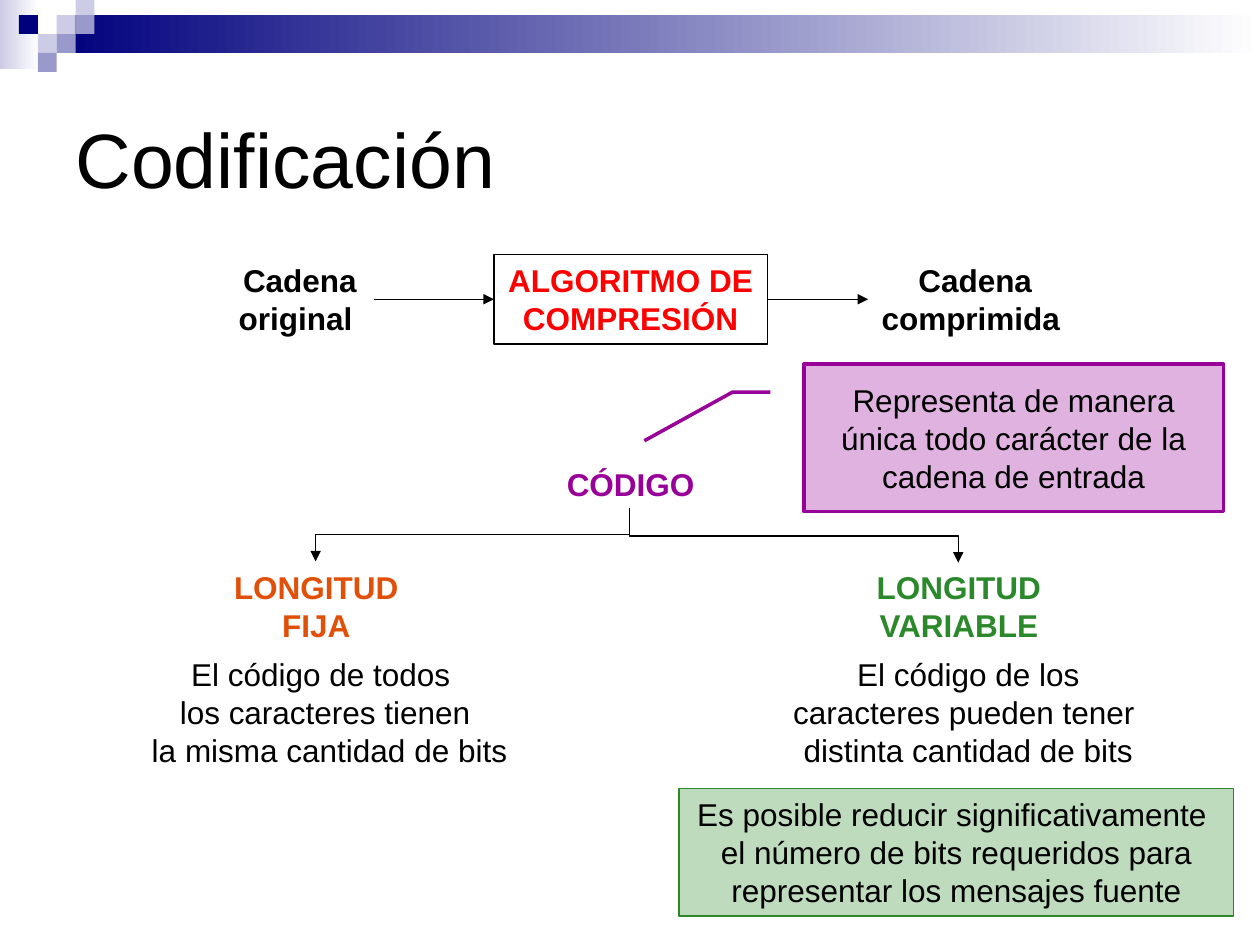
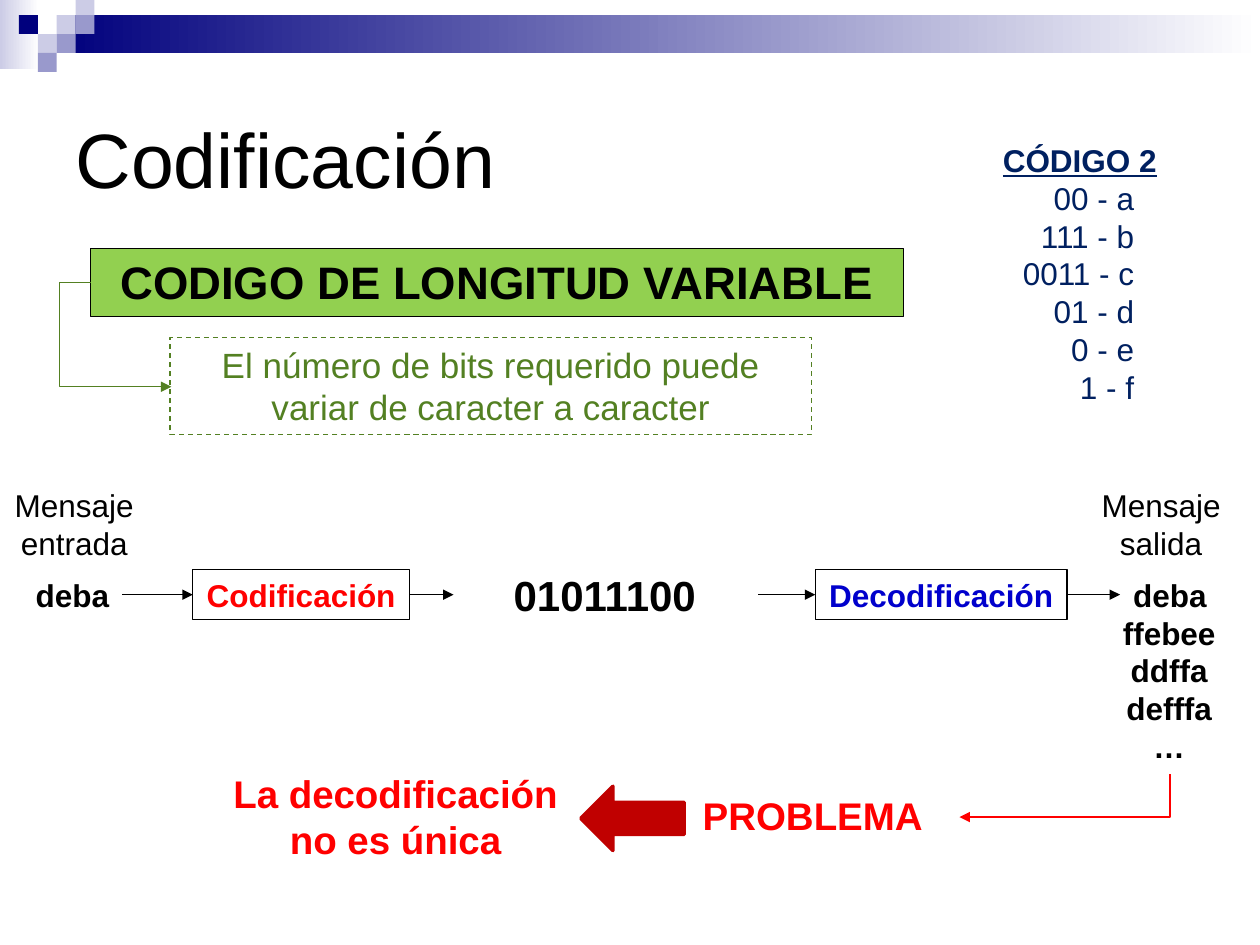
"""Build two slides on coding, with fixed and variable length codes."""
import dataclasses
import typing

import pptx
import pptx.dml.color
import pptx.enum.dml
import pptx.enum.shapes
import pptx.enum.text
import pptx.oxml
import pptx.oxml.ns
import pptx.util

Inches = pptx.util.Inches
Pt = pptx.util.Pt
RGBColor = pptx.dml.color.RGBColor
Kind = pptx.enum.shapes.MSO_SHAPE
Link = pptx.enum.shapes.MSO_CONNECTOR
Align = pptx.enum.text.PP_ALIGN
Anchor = pptx.enum.text.MSO_ANCHOR

BLACK = RGBColor(0x00, 0x00, 0x00)
WHITE = RGBColor(0xFF, 0xFF, 0xFF)
NAVY = RGBColor(0x00, 0x00, 0x7D)
PALE = RGBColor(0xCC, 0xCC, 0xE6)
LILAC = RGBColor(0x99, 0x99, 0xCC)
RED = RGBColor(0xFF, 0x00, 0x00)
DARK_RED = RGBColor(0xC0, 0x00, 0x00)
ORANGE = RGBColor(0xE0, 0x50, 0x08)
GREEN = RGBColor(0x2B, 0x89, 0x2B)
LIME = RGBColor(0x92, 0xD0, 0x50)
OLIVE = RGBColor(0x53, 0x80, 0x22)
PURPLE = RGBColor(0x99, 0x00, 0x99)
BLUE = RGBColor(0x00, 0x00, 0xCC)
INK = RGBColor(0x00, 0x20, 0x60)

FONT = "Arial"
LEADING = 1.2
CELL = 0.15
TOP = -0.03
BANDS = (((0, TOP, 0.31, 0.58), PALE), ((0.45, 0.12, 9.55, 0.3), NAVY))
TILES = ((3, 1, PALE), (4, 0, PALE), (4, 1, LILAC), (2, 2, PALE),
         (1, 1, NAVY), (3, 2, LILAC), (2, 3, LILAC))

Spot = tuple[float, float, float, float]


@dataclasses.dataclass(frozen=True)
class Box:
    """A text, framed when it has a fill or a line."""
    text: str
    at: Spot
    color: RGBColor = BLACK
    bold: bool = False
    size: int = 18
    fill: typing.Optional[RGBColor] = None
    alpha: int = 100
    line: typing.Optional[RGBColor] = None
    width: float = 0.75
    dash: bool = False
    kind: Kind = Kind.RECTANGLE
    wrap: bool = False
    align: Align = Align.CENTER
    anchor: Anchor = Anchor.TOP
    under: bool = False


@dataclasses.dataclass(frozen=True)
class Elbow:
    """A bent arrow, given by its frame before it is turned."""
    at: Spot
    turn: int = 0
    flip: bool = False
    bend: typing.Optional[float] = 0.5
    color: RGBColor = BLACK


def put(thing: typing.Any, **values: typing.Any) -> None:
    """Set each attribute of a thing from the given values."""
    for name, value in values.items():
        setattr(thing, name, value)


def place(at: Spot) -> list[int]:
    """Turn a spot into lengths."""
    return [Inches(part) for part in at]


def write(frame, text: str, size: int, color: RGBColor, align: Align,
          bold: bool = False, under: bool = False) -> None:
    """Fill a text frame with one paragraph for each line."""
    for index, line in enumerate(text.split("\n")):
        para = frame.paragraphs[0] if index == 0 else frame.add_paragraph()
        put(para, alignment=align, line_spacing=Pt(size * LEADING))
        run = para.add_run()
        run.text = line
        put(run.font, name=FONT, size=Pt(size), bold=bold, underline=under)
        run.font.color.rgb = color


def paint(shape, fill: typing.Optional[RGBColor], alpha: int = 100) -> None:
    """Give a shape a plain fill or none."""
    shape.shadow.inherit = False
    if fill is None:
        shape.fill.background()
        return
    shape.fill.solid()
    shape.fill.fore_color.rgb = fill
    if alpha < 100:
        tint = shape.fill._xPr.find(".//" + pptx.oxml.ns.qn("a:srgbClr"))
        tint.append(pptx.oxml.parse_xml(
            f'<a:alpha {pptx.oxml.ns.nsdecls("a")} val="{alpha * 1000}"/>'))


def draw(slide, box: Box):
    """Draw a box and return its shape."""
    if box.fill is None and box.line is None:
        shape = slide.shapes.add_textbox(*place(box.at))
    else:
        shape = slide.shapes.add_shape(box.kind, *place(box.at))
        paint(shape, box.fill, box.alpha)
        shape.line.color.rgb = box.line
        shape.line.width = Pt(box.width)
        if box.dash:
            shape.line.dash_style = pptx.enum.dml.MSO_LINE.DASH
    put(shape.text_frame, word_wrap=box.wrap, vertical_anchor=box.anchor)
    if box.text:
        write(shape.text_frame, box.text, box.size, box.color, box.align,
              box.bold, box.under)
    return shape


def tip(link, color: RGBColor) -> None:
    """Style a connector with a thin line and an arrowhead."""
    link.line.color.rgb = color
    link.line.width = Pt(0.75)
    space = pptx.oxml.ns.nsdecls("a")
    link.line._get_or_add_ln().append(
        pptx.oxml.parse_xml(f'<a:tailEnd {space} type="triangle"/>'))
    link._element.spPr.append(pptx.oxml.parse_xml(f"<a:effectLst {space}/>"))


def arrow(slide, start: float, end: float, high: float,
          source=None, target=None) -> None:
    """Draw a level arrow, joined to the boxes it meets."""
    link = slide.shapes.add_connector(
        Link.STRAIGHT, *place((start, high, end, high)))
    if source is not None:
        link.begin_connect(source, 3)
    if target is not None:
        link.end_connect(target, 1)
    tip(link, BLACK)


def bend(slide, elbow: Elbow) -> None:
    """Draw a bent arrow."""
    left, top, width, height = elbow.at
    link = slide.shapes.add_connector(
        Link.ELBOW, *place((left, top, left + width, top + height)))
    xfrm = link._element.spPr.find(pptx.oxml.ns.qn("a:xfrm"))
    xfrm.set("rot", str(elbow.turn * 60000))
    if elbow.flip:
        xfrm.set("flipH", "1")
    form = link._element.spPr.find(pptx.oxml.ns.qn("a:prstGeom"))
    if elbow.bend is None:
        form.set("prst", "bentConnector2")
    else:
        for child in list(form):
            form.remove(child)
        form.append(pptx.oxml.parse_xml(
            f'<a:avLst {pptx.oxml.ns.nsdecls("a")}><a:gd name="adj1" '
            f'fmla="val {round(elbow.bend * 100000)}"/></a:avLst>'))
    tip(link, elbow.color)


def start(deck):
    """Add a slide with the shared bands, tiles and title."""
    slide = deck.slides.add_slide(deck.slide_layouts[5])
    for at, color in BANDS:
        band = slide.shapes.add_shape(Kind.RECTANGLE, *place(at))
        paint(band, None)
        band.line.fill.background()
        band.fill.gradient()
        band.fill.gradient_angle = 0
        for stop, shade in zip(band.fill.gradient_stops, (color, WHITE)):
            stop.color.rgb = shade
    for col, row, color in TILES:
        tile = slide.shapes.add_shape(
            Kind.RECTANGLE,
            *place((col * CELL, TOP + row * CELL, CELL, CELL)))
        paint(tile, color)
        tile.line.fill.background()
    title = slide.shapes.title
    left, top, width, height = place((0.5, 0.5, 9, 1.5))
    put(title, left=left, top=top, width=width, height=height)
    title.text_frame.vertical_anchor = Anchor.MIDDLE
    write(title.text_frame, "Codificación", 44, BLACK, Align.LEFT)
    return slide


def kinds(deck) -> None:
    """Build the slide on the kinds of code."""
    slide = start(deck)
    source = draw(slide, Box("Cadena\noriginal ", (1.79, 2.02, 1.18, 0.71),
                             bold=True))
    method = draw(slide, Box("ALGORITMO DE\nCOMPRESIÓN",
                             (3.92, 2.02, 2.17, 0.71), RED, True, line=BLACK))
    result = draw(slide, Box("Cadena\ncomprimida ", (6.89, 2.02, 1.7, 0.71),
                             bold=True))
    arrow(slide, 2.97, 3.92, 2.37, source, method)
    arrow(slide, 6.09, 6.89, 2.37, method, result)
    for box in (
        Box("LONGITUD\nFIJA", (1.75, 4.46, 1.52, 0.71), ORANGE, True),
        Box("El código de todos \nlos caracteres tienen\n"
            " la misma cantidad de bits", (1.02, 5.15, 3.12, 1.01)),
        Box("LONGITUD\nVARIABLE", (6.85, 4.46, 1.52, 0.71), GREEN, True),
        Box("El código de los\ncaracteres pueden tener \n"
            "distinta cantidad de bits", (6.18, 5.15, 3.01, 1.01)),
        Box("CÓDIGO", (4.39, 3.64, 1.23, 0.4), PURPLE, True),
        Box("Es posible reducir significativamente \nel número de bits "
            "requeridos para representar los mensajes fuente",
            (5.39, 6.26, 4.4, 1.01), fill=GREEN, alpha=30, line=GREEN,
            wrap=True),
    ):
        draw(slide, box)
    bend(slide, Elbow((3.54, 3, 0.42, 2.49), 90))
    bend(slide, Elbow((6.09, 2.95, 0.42, 2.61), 270, True))
    note = draw(slide, Box(
        "Representa de manera única todo carácter de la cadena de entrada",
        (6.38, 2.89, 3.33, 1.17), fill=PURPLE, alpha=30, line=PURPLE, width=2,
        kind=Kind.LINE_CALLOUT_2, wrap=True, anchor=Anchor.MIDDLE))
    for index, value in enumerate((0.19, -0.08, 0.19, -0.17, 0.52, -0.38)):
        note.adjustments[index] = value


def varied(deck) -> None:
    """Build the slide on the code of variable length."""
    slide = start(deck)
    entry = draw(slide, Box("deba", (0.18, 4.52, 0.79, 0.4), bold=True))
    coder = draw(slide, Box("Codificación", (1.53, 4.52, 1.72, 0.4), RED, True,
                            line=BLACK))
    reader = draw(slide, Box("Decodificación", (6.47, 4.52, 2, 0.4), BLUE,
                             True, line=BLACK))
    output = draw(slide, Box("deba", (8.89, 4.52, 0.79, 0.4), bold=True))
    arrow(slide, 0.97, 1.53, 4.72, entry, coder)
    arrow(slide, 3.25, 3.6, 4.72, source=coder)
    arrow(slide, 6.02, 6.47, 4.72, target=reader)
    arrow(slide, 8.47, 8.89, 4.72, reader, output)
    for box in (
        Box("ffebee\nddffa\ndefffa\n…", (8.81, 4.82, 0.94, 1.32), bold=True),
        Box("01011100", (3.97, 4.47, 1.66, 0.5), bold=True, size=24),
        Box("Mensaje\nentrada", (0.01, 3.81, 1.16, 0.71)),
        Box("Mensaje\nsalida", (8.64, 3.81, 1.15, 0.71)),
        Box("CODIGO DE LONGITUD VARIABLE", (0.72, 1.97, 6.45, 0.54),
            bold=True, size=26, fill=LIME, line=BLACK, wrap=True),
        Box("El número de bits requerido puede variar de caracter a caracter",
            (1.35, 2.68, 5.09, 0.77), OLIVE, size=20, line=OLIVE, dash=True,
            wrap=True),
        Box("CÓDIGO 2", (7.85, 1.07, 1.44, 0.4), INK, True, under=True),
        Box("00 - a\n111 - b\n0011 - c\n01 - d\n0 - e\n1 - f",
            (7.85, 1.37, 1.25, 1.92), INK, wrap=True, align=Align.RIGHT),
        Box("PROBLEMA", (5.28, 6.24, 2.34, 0.47), RED, True, 22, wrap=True),
        Box("La decodificación no es única", (1.67, 6.06, 2.94, 0.84), RED,
            True, 22, wrap=True),
        Box("", (4.61, 6.24, 0.82, 0.51), fill=DARK_RED, line=DARK_RED,
            width=2, kind=Kind.LEFT_ARROW),
    ):
        draw(slide, box)
    bend(slide, Elbow((0.72, 2.24, 0.64, 0.83), bend=-0.39, color=OLIVE))
    bend(slide, Elbow((8.28, 5.48, 0.34, 1.67), 90, bend=None, color=RED))


def main() -> None:
    """Build and save the deck."""
    deck = pptx.Presentation()
    put(deck, slide_width=Inches(10), slide_height=Inches(7.5))
    kinds(deck)
    varied(deck)
    deck.save("out.pptx")


if __name__ == "__main__":
    main()
